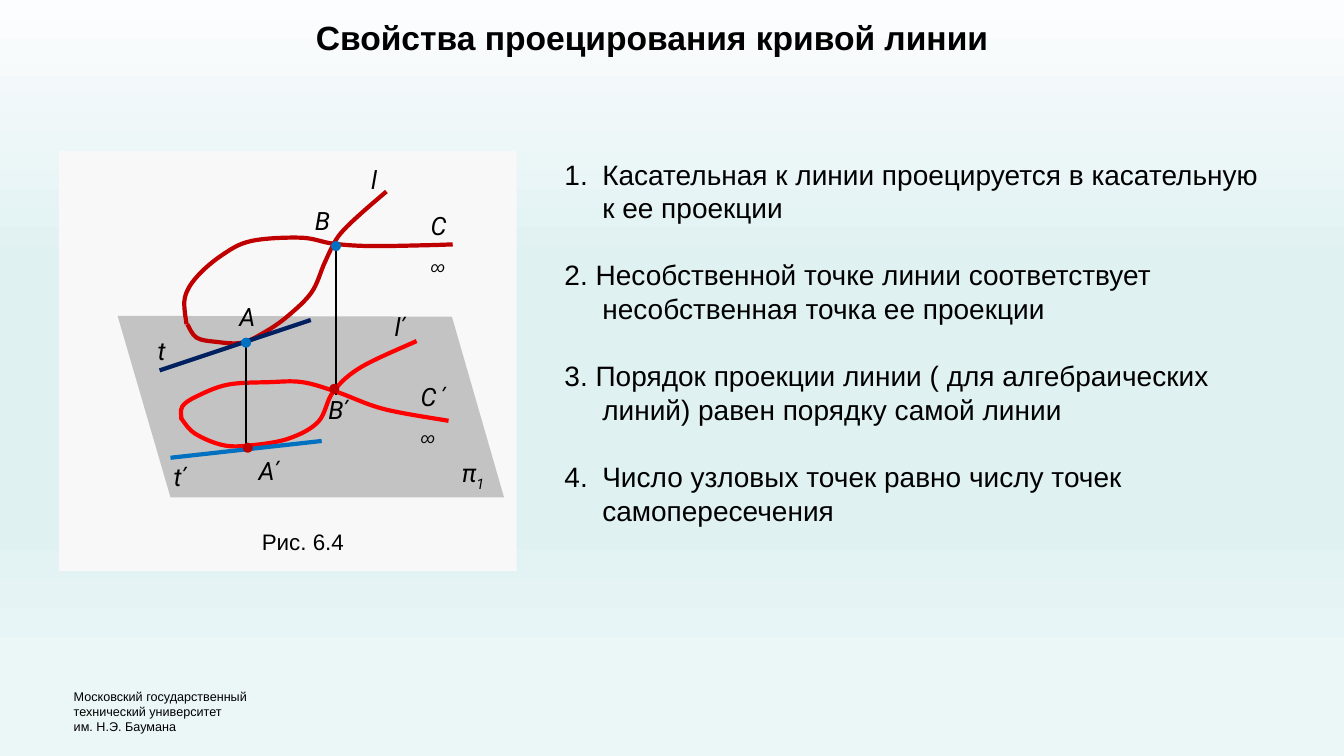
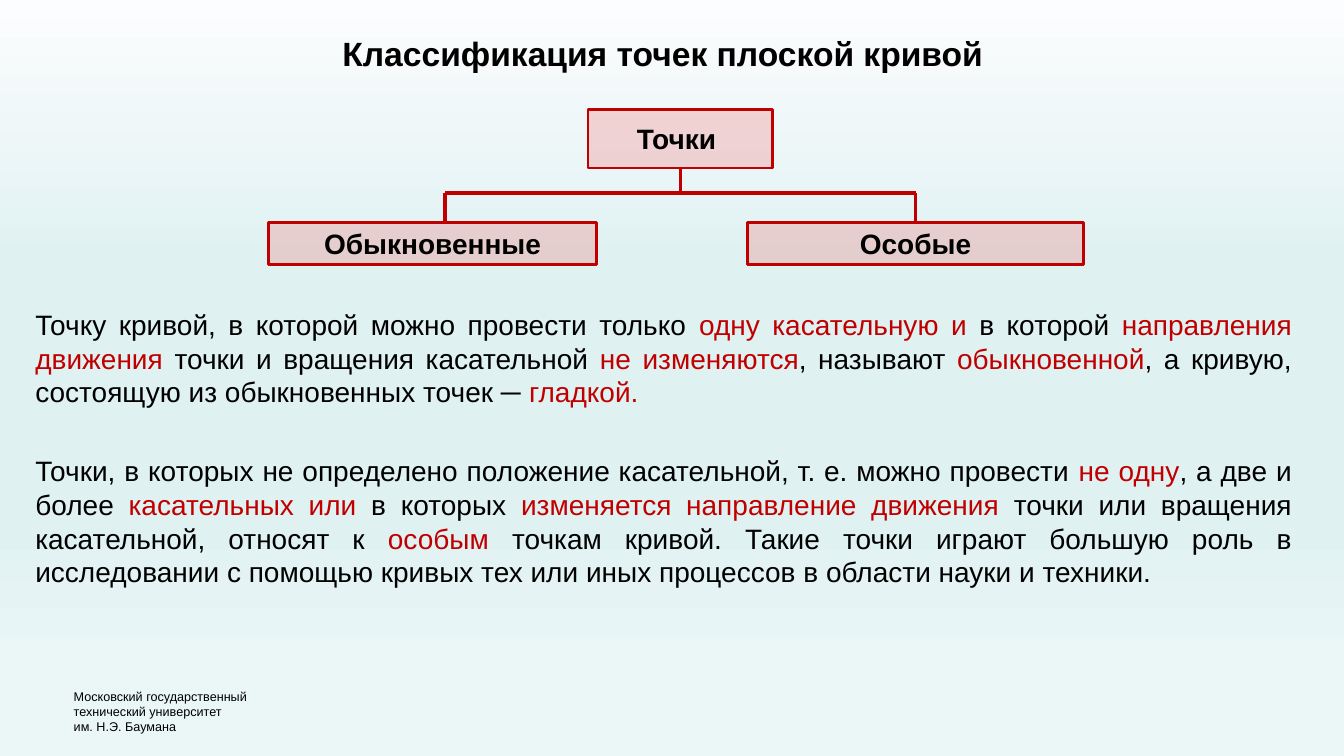
"""Builds two slides on the projection of curves and the points of a plane curve."""
from lxml import etree
from pptx import Presentation
from pptx.dml.color import RGBColor
from pptx.enum.shapes import MSO_CONNECTOR, MSO_SHAPE
from pptx.enum.text import MSO_ANCHOR, MSO_AUTO_SIZE, PP_ALIGN
from pptx.oxml.ns import qn
from pptx.util import Inches, Pt

STRAIGHT = MSO_CONNECTOR.STRAIGHT
RECTANGLE, OVAL = MSO_SHAPE.RECTANGLE, MSO_SHAPE.OVAL
TOP, MIDDLE = MSO_ANCHOR.TOP, MSO_ANCHOR.MIDDLE
LEFT, CENTER, JUSTIFY = PP_ALIGN.LEFT, PP_ALIGN.CENTER, PP_ALIGN.JUSTIFY
NO_AUTOFIT = MSO_AUTO_SIZE.NONE

BLACK = RGBColor(0x00, 0x00, 0x00)
DARK_RED = RGBColor(0xC0, 0x00, 0x00)
RED = RGBColor(0xFF, 0x00, 0x00)
BLUE = RGBColor(0x00, 0x70, 0xC0)
NAVY = RGBColor(0x00, 0x20, 0x60)
GREY = RGBColor(0xBA, 0xBA, 0xBA)
PANEL = RGBColor(0xF8, 0xF8, 0xF8)
SKY = RGBColor(0xFC, 0xFD, 0xFE)
MIST = RGBColor(0xE0, 0xF1, 0xF2)
PALE = RGBColor(0xEB, 0xF6, 0xF7)

BACKGROUND_STOPS = [(0, SKY), (35, MIST), (69, MIST), (88, PALE), (100, PALE)]
FOOTER = ["Московский государственный", "технический университет", "им. Н.Э. Баумана"]
TEXT_FONT, LABEL_FONT = "Arial", "Roboto"
COLUMNS, ROWS = 160, 90
CELL = Inches(1) // 12
INDENT = 4.5

PLANE = [(14, 37.6), (53.8, 37.7), (60, 59.2), (20.3, 59.2)]
PROJECTED_BRANCH = [
    (53.4, 50.1), (45.7, 48.7), (40.2, 46.7), (36, 45.5), (32, 45.5),
    (27.1, 45.8), (23.4, 47.2), (21.7, 48.4), (21.6, 49.9),
]
PROJECTED_LOOP = [
    (21.5, 49.7), (23.2, 51.6), (26.6, 53), (30, 53), (34.4, 52.2),
    (37.9, 50.2), (39.7, 46.6), (43, 43.7), (49.6, 40.6),
]
SPACE_LOOP = [
    (46, 22.8), (43, 25.4), (40.9, 27.4), (39.8, 28.9), (38.6, 31.4), (37.1, 34.8),
    (34.3, 37.6), (31.6, 39.5), (28.8, 40.8), (25.7, 40.7), (23.4, 40.2), (22.3, 38.6),
]
SPACE_BRANCH = [
    (22.2, 38.6), (22, 35.5), (23.4, 33), (26.4, 30.4), (29.9, 28.7), (35.8, 28.3),
    (39.6, 29), (44, 29.3), (50.8, 29.2), (53.9, 29.1),
]


def cells(*values):
    """Turn grid units into slide lengths."""
    return [round(value * CELL) for value in values]


class Deck:
    """Holds the shared style and the current slide."""

    def __init__(self):
        """Set the slide size and the shared background."""
        self.presentation = Presentation()
        self.presentation.slide_width, self.presentation.slide_height = cells(COLUMNS, ROWS)
        self.slide = None
        master = self.presentation.slide_master
        fill = master.background.fill
        fill.gradient()
        fill.gradient_angle = 270
        stops = master.element.find(".//" + qn("a:gsLst"))
        stops.clear()
        for position, color in BACKGROUND_STOPS:
            stop = etree.SubElement(stops, qn("a:gs"), pos=str(position * 1000))
            etree.SubElement(stop, qn("a:srgbClr"), val=str(color))

    def new_slide(self, title, *box, align=LEFT):
        """Start a slide with its title and footer."""
        layout = self.presentation.slide_layouts[1]
        self.slide = self.presentation.slides.add_slide(layout)
        shape = self.slide.shapes.title
        self.place(shape, *box, MIDDLE)
        shape.text_frame.text = title
        self.style(shape.text_frame, 24, bold=True, align=align)
        self.text("\n".join(FOOTER), 7.6, 81.4, 23.8, 6.6, 9)

    def place(self, shape, left, top, width, height, anchor):
        """Move a placeholder and fix its text frame."""
        shape.left, shape.top, shape.width, shape.height = cells(left, top, width, height)
        frame = shape.text_frame
        frame.word_wrap = True
        frame.auto_size = NO_AUTOFIT
        frame.vertical_anchor = anchor

    def style(self, frame, size, font=TEXT_FONT, bold=False, italic=False, align=LEFT):
        """Format every run of a text frame."""
        for paragraph in frame.paragraphs:
            paragraph.alignment = align
            for run in paragraph.runs:
                run.font.name, run.font.size = font, Pt(size)
                run.font.bold, run.font.italic = bold, italic
                run.font.color.rgb = BLACK

    def text(self, text, left, top, width, height, size):
        """Add an unwrapped text box."""
        box = self.slide.shapes.add_textbox(*cells(left, top, width, height))
        box.text_frame.word_wrap = False
        box.text_frame.text = text
        self.style(box.text_frame, size)
        return box.text_frame

    def label(self, text, left, top, width, prime="", index=""):
        """Add an italic label with an optional spaced prime and lowered index."""
        frame = self.text(text, left, top, width, 4.8, 18)
        paragraph = frame.paragraphs[0]
        if prime:
            paragraph.runs[0].font._element.set("spc", "300")
            paragraph.add_run().text = prime
        if index:
            run = paragraph.add_run()
            run.text = index
            run.font._element.set("baseline", "-25000")
        self.style(frame, 18, font=LABEL_FONT, italic=True)

    def body(self, items, *box, gap, align=LEFT):
        """Fill the body with paragraphs whose every second part is red."""
        shape = self.slide.placeholders[1]
        self.place(shape, *box, TOP)
        frame = shape.text_frame
        for index, parts in enumerate(items):
            paragraph = frame.add_paragraph() if index else frame.paragraphs[0]
            for part in parts:
                paragraph.add_run().text = part
            paragraph.space_before = Pt(gap if index else 0)
        self.style(frame, 20, align=align)
        for paragraph in frame.paragraphs:
            for run in paragraph.runs[1::2]:
                run.font.color.rgb = DARK_RED
        return frame

    def indent(self, frame, size, numbers=()):
        """Hang the paragraphs and number those whose position is listed."""
        for position, paragraph in enumerate(frame.paragraphs, 1):
            properties = paragraph._p.get_or_add_pPr()
            properties.set("marL", str(cells(size)[0]))
            properties.set("indent", str(-cells(size)[0]))
            if position in numbers:
                etree.SubElement(properties, qn("a:buFont"), typeface=TEXT_FONT)
                etree.SubElement(properties, qn("a:buAutoNum"),
                                 type="arabicPeriod", startAt=str(position))
            else:
                etree.SubElement(properties, qn("a:buNone"))

    def paint(self, shape, fill=None, opacity=100, line=None, weight=0):
        """Set the fill and outline of a shape and drop its shadow."""
        shape.shadow.inherit = False
        if fill is None:
            shape.fill.background()
        else:
            shape.fill.solid()
            shape.fill.fore_color.rgb = fill
            if opacity < 100:
                color = shape._element.spPr.find(qn("a:solidFill"))[0]
                etree.SubElement(color, qn("a:alpha"), val=str(opacity * 1000))
        if line is None:
            shape.line.fill.background()
        else:
            shape.line.color.rgb = line
            shape.line.width = Pt(weight)

    def shape(self, kind, left, top, width, height, **paint):
        """Add a preset shape."""
        shape = self.slide.shapes.add_shape(kind, *cells(left, top, width, height))
        self.paint(shape, **paint)
        return shape

    def dot(self, x, y, color):
        """Add a point marker centred on x and y."""
        self.shape(OVAL, x - 0.6, y - 0.6, 1.2, 1.2, fill=color)

    def box(self, text, left, top, width, height):
        """Add a box of the classification tree."""
        shape = self.shape(RECTANGLE, left, top, width, height,
                           fill=RED, opacity=15, line=DARK_RED, weight=2)
        shape.text_frame.text = text
        shape.text_frame.vertical_anchor = MIDDLE
        self.style(shape.text_frame, 20, bold=True, align=CENTER)

    def outline(self, points, closed=False, **paint):
        """Add a freeform through the points."""
        start, *others = [cells(*point) for point in points]
        builder = self.slide.shapes.build_freeform(*start)
        builder.add_line_segments(others, close=closed)
        shape = builder.convert_to_shape()
        self.paint(shape, **paint)
        return shape

    def curve(self, knots, color):
        """Add a smooth line whose segments are Bezier curves through the knots."""
        geometry = self.outline(knots, line=color, weight=3)._element.spPr
        points = [(int(point.get("x")), int(point.get("y")))
                  for point in geometry.iter(qn("a:pt"))]
        padded = [points[0], *points, points[-1]]
        segments = list(geometry.iter(qn("a:lnTo")))
        for segment, before, start, end, after in zip(
                segments, padded, padded[1:], padded[2:], padded[3:]):
            first = [b + (c - a) / 6 for a, b, c in zip(before, start, end)]
            second = [b - (c - a) / 6 for a, b, c in zip(start, end, after)]
            segment.tag = qn("a:cubicBezTo")
            for position, (x, y) in enumerate((first, second)):
                control = segment.makeelement(qn("a:pt"), x=str(round(x)), y=str(round(y)))
                segment.insert(position, control)

    def line(self, start_x, start_y, end_x, end_y, color, weight):
        """Add a straight line."""
        ends = cells(start_x, start_y, end_x, end_y)
        connector = self.slide.shapes.add_connector(STRAIGHT, *ends)
        connector.line.color.rgb = color
        connector.line.width = Pt(weight)
        etree.SubElement(connector._element.spPr, qn("a:effectLst"))


def projection_slide(deck):
    """Build the slide on the properties of projection."""
    deck.new_slide("Свойства проецирования кривой линии", 36.4, 1.4, 83.4, 6.1)
    deck.shape(RECTANGLE, 7, 18, 54.5, 50, fill=PANEL)
    deck.outline(PLANE, closed=True, fill=GREY, opacity=85)
    for knots, color in [(PROJECTED_BRANCH, RED), (PROJECTED_LOOP, RED),
                         (SPACE_LOOP, DARK_RED), (SPACE_BRANCH, DARK_RED)]:
        deck.curve(knots, color)
    deck.line(19, 44.1, 37, 38.1, NAVY, 3)
    deck.line(20.3, 54.5, 38.3, 52.5, BLUE, 3)
    deck.line(40, 29, 40, 47, BLACK, 1.25)
    deck.line(29.3, 40.9, 29.3, 53.6, BLACK, 1.25)
    for x, y, color in [(29.3, 40.8, BLUE), (40, 29.3, BLUE),
                        (29.5, 53.3, DARK_RED), (39.8, 46.3, DARK_RED)]:
        deck.dot(x, y, color)
    for text, left, top, width in [
            ("l", 43, 19, 3.4), ("B", 36.3, 23.9, 4.2), ("A", 27.3, 35.3, 4.4),
            ("t", 17.6, 39.3, 3.7), ("lʹ", 45.8, 36.5, 3.9), ("Bʹ", 37.9, 46.3, 4.9),
            ("Aʹ", 29.6, 53.6, 5), ("tʹ", 19.5, 54.3, 4.3)]:
        deck.label(text, left, top, width)
    deck.label("C", 50.1, 24.5, 5.5, index="∞")
    deck.label("C", 48.9, 44.8, 6.6, prime="ʹ", index="∞")
    deck.label("π", 53.8, 53.9, 5.3, index="1")
    deck.text("Рис. 6.4", 30, 62.3, 13, 4.4, 16)
    frame = deck.body([
        ["Касательная к линии проецируется в касательную к ее проекции"],
        ["2. Несобственной точке линии соответствует несобственная точка ее проекции"],
        ["3. Порядок проекции линии ( для алгебраических линий) равен порядку самой линии"],
        ["Число узловых точек равно числу точек самопересечения"],
    ], 66, 14.5, 86, 52.9, gap=24)
    frame.margin_top = cells(4.2)[0]
    deck.indent(frame, INDENT, numbers=(1, 4))


def classification_slide(deck):
    """Build the slide on the classification of points."""
    deck.new_slide("Классификация точек плоской кривой", 36.2, 2.5, 85.4, 7.6, align=CENTER)
    deck.line(53, 23, 109, 23, DARK_RED, 2.5)
    deck.line(81, 20, 81, 23, DARK_RED, 2.5)
    for x in (53, 109):
        deck.line(x, 23, x, 26.4, DARK_RED, 2.5)
    deck.box("Точки ", 70, 13, 22, 7)
    deck.box("Обыкновенные", 32, 26.5, 39, 5)
    deck.box("Особые", 89, 26.5, 40, 5)
    frame = deck.body([
        ["Точку кривой, в которой можно провести только ", "одну касательную и",
         " в которой ", "направления движения ", "точки и вращения касательной ",
         "не изменяются", ", называют ", "обыкновенной",
         ", а кривую, состоящую из обыкновенных точек ─ ", "гладкой."],
        ["Точки, в которых не определено положение касательной, т. е. можно провести ",
         "не одну", ", а две и более ", "касательных или", " в которых ",
         "изменяется направление движения ", "точки или вращения касательной, относят к ",
         "особым ", "точкам кривой. Такие точки играют большую роль в исследовании "
         "с помощью кривых тех или иных процессов в области науки и техники."],
    ], 3, 36, 152, 35.2, gap=32.5, align=JUSTIFY)
    deck.indent(frame, 0)


def main():
    """Build and save the presentation."""
    deck = Deck()
    projection_slide(deck)
    classification_slide(deck)
    deck.presentation.save("out.pptx")


if __name__ == "__main__":
    main()
